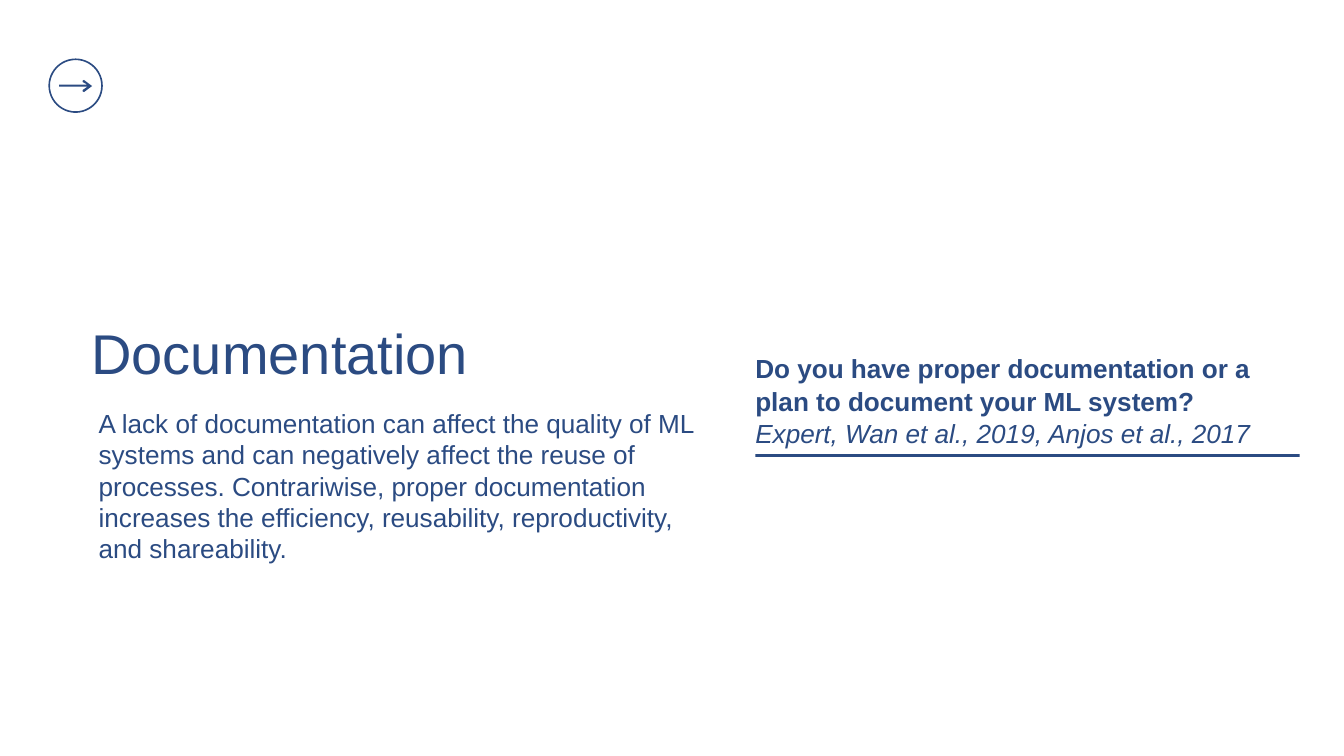
from pptx import Presentation
from pptx import util as u
from pptx.dml.color import RGBColor
from pptx.enum import shapes, text

NAVY = RGBColor(0x2B, 0x4B, 0x82)
WHITE = RGBColor(0xFF, 0xFF, 0xFF)
QUESTION_LEFT, QUESTION_WIDTH = 11.24, 8.1

deck = Presentation()
deck.slide_width = u.Inches(20)
deck.slide_height = u.Inches(11.25)
page = deck.slides.add_slide(deck.slide_layouts[6])
page.background.fill.solid()
page.background.fill.fore_color.rgb = WHITE


def add_text(words, left, top, width, height, size=28, bold=False,
             italic=False, inset=(0, 0), spacing=None):
    """Add a one-paragraph box; inset is (horizontal, vertical) in inches."""
    box = page.shapes.add_textbox(*map(u.Inches, (left, top, width, height)))
    frame = box.text_frame
    frame.word_wrap = True
    frame.auto_size = text.MSO_AUTO_SIZE.SHAPE_TO_FIT_TEXT
    frame.margin_left = frame.margin_right = u.Inches(inset[0])
    frame.margin_top = frame.margin_bottom = u.Inches(inset[1])
    para = frame.paragraphs[0]
    para.line_spacing = spacing
    span = para.add_run()
    span.text = words
    span.font.name = "Arial"
    span.font.size = u.Pt(size)
    span.font.bold = bold
    span.font.italic = italic
    span.font.color.rgb = NAVY


def paint(shape):
    shape.shadow.inherit = False
    shape.fill.solid()
    shape.fill.fore_color.rgb = NAVY
    shape.line.fill.background()


# Arrow inside a ring
arrow_points = [
    (u.Inches(x), u.Inches(y)) for x, y in (
        (1.37, 1.28), (1.25, 1.37), (1.23, 1.36), (1.23, 1.34), (1.3, 1.29),
        (0.88, 1.29), (0.88, 1.26), (1.3, 1.26), (1.23, 1.22), (1.23, 1.2),
        (1.25, 1.19))
]
builder = page.shapes.build_freeform(*arrow_points[0])
builder.add_line_segments(arrow_points[1:], close=True)
paint(builder.convert_to_shape())

ring = page.shapes.add_shape(
    shapes.MSO_SHAPE.DONUT,
    u.Inches(0.72), u.Inches(0.87), u.Inches(0.81), u.Inches(0.81))
ring.adjustments[0] = 0.03
paint(ring)

# Topic
add_text("Documentation", 1.36, 4.74, 9.11, 0.84, size=60)
add_text("A lack of documentation can affect the quality of ML systems and can "
         "negatively affect the reuse of processes. Contrariwise, proper "
         "documentation increases the efficiency, reusability, reproductivity, "
         "and shareability.",
         1.37, 6.01, 9.34, 2.46, inset=(0.1, 0.05))

# Question, its sources and the rule below
rule = page.shapes.add_shape(
    shapes.MSO_SHAPE.RECTANGLE,
    u.Inches(QUESTION_LEFT), u.Inches(6.76),
    u.Inches(QUESTION_WIDTH), u.Inches(0.04))
paint(rule)
add_text("Expert, Wan et al., 2019, Anjos et al., 2017",
         QUESTION_LEFT, 6.24, QUESTION_WIDTH, 0.38, italic=True, spacing=0.97)
add_text("Do you have proper documentation or a plan to document your ML system?",
         QUESTION_LEFT, 5.22, QUESTION_WIDTH, 0.81, bold=True, spacing=1.05)

deck.save("out.pptx")
